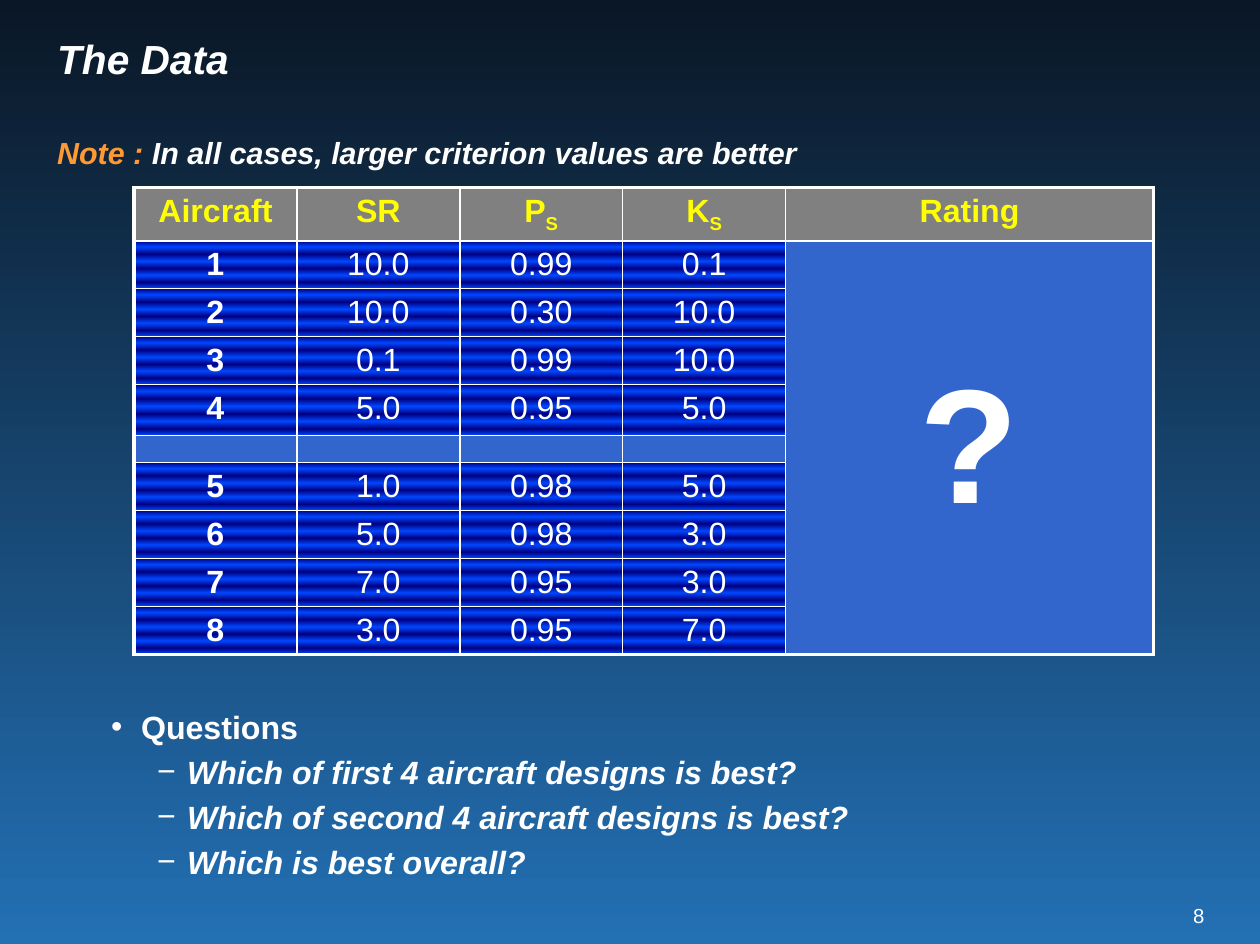
from lxml import etree
from pptx import Presentation
from pptx import util as u
from pptx.dml import color
from pptx.enum import text
from pptx.oxml import ns

WHITE, YELLOW, ORANGE = "FFFFFF", "FFFF00", "FF9933"
GRAY, BLUE = "808080", "3366CC"
SKY = [(0, "0A1726"), (100, "2370B4")]
STRIPES = [(at, ("000082", "0047FF")[i % 2])
           for i, at in enumerate((0, 13, 28, 43, 58, 72, 87, 100))]
HEADER = ["Aircraft", "SR", "P_S", "K_S", "Rating"]
DATA = [
    ["1", "10.0", "0.99", "0.1", "?"],
    ["2", "10.0", "0.30", "10.0", ""],
    ["3", "0.1", "0.99", "10.0", ""],
    ["4", "5.0", "0.95", "5.0", ""],
    ["", "", "", "", ""],
    ["5", "1.0", "0.98", "5.0", ""],
    ["6", "5.0", "0.98", "3.0", ""],
    ["7", "7.0", "0.95", "3.0", ""],
    ["8", "3.0", "0.95", "7.0", ""],
]
COLUMNS = [163] * 4 + [368]
ROWS = [53] + [48] * 3 + [51, 27] + [48] * 4
QUESTIONS = [
    (0, "Questions"),
    (1, "Which of first 4 aircraft designs is best?"),
    (1, "Which of second 4 aircraft designs is best?"),
    (1, "Which is best overall?"),
]


def px(length):
    """Turn pixels into EMU."""
    return u.Emu(length * 7501)


def rgb(value):
    """Turn a hex string into a colour."""
    return color.RGBColor.from_string(value)


def child(parent, tag, **attributes):
    """Add a DrawingML element to a parent."""
    return etree.SubElement(parent, ns.qn(f"a:{tag}"), attributes)


class Slide:
    """Holds the style and the current slide."""

    font = "Arial"

    def __init__(self, deck):
        """Add a page with a title and a body."""
        self.page = deck.slides.add_slide(deck.slide_layouts[1])
        self.gradient(self.page.background.fill, self.page.element, SKY)

    def gradient(self, fill, owner, stops):
        """Fill from top to bottom with the given stops."""
        fill.gradient()
        fill.gradient_angle = 270
        stop_list = owner.find(f".//{ns.qn('a:gsLst')}")
        stop_list.clear()
        for at, value in stops:
            stop = child(stop_list, "gs", pos=str(at * 1000))
            child(stop, "srgbClr", val=value)

    def style(self, span, size, value=WHITE, bold=False, italic=False):
        """Format one run."""
        span.font.name, span.font.size = self.font, u.Pt(size)
        span.font.bold, span.font.italic = bold, italic
        span.font.color.rgb = rgb(value)

    def place(self, box, left, top, width, height):
        """Move and size a box."""
        box.left, box.top = px(left), px(top)
        box.width, box.height = px(width), px(height)
        box.text_frame.auto_size = text.MSO_AUTO_SIZE.NONE

    def title(self, heading, label, note, *area):
        """Write the title with a note below it."""
        box = self.page.shapes.title
        self.place(box, *area)
        frame = box.text_frame
        frame.vertical_anchor = text.MSO_ANCHOR.MIDDLE
        frame.text = heading
        para = frame.add_paragraph()
        para.space_before = u.Pt(26)
        for words in (label, note):
            para.add_run().text = words
        for line in frame.paragraphs:
            line.alignment = text.PP_ALIGN.LEFT
            line.line_spacing = u.Pt(26)
        self.style(frame.paragraphs[0].runs[0], 24, bold=True, italic=True)
        for span, value in zip(para.runs, (ORANGE, WHITE)):
            self.style(span, 18, value, bold=True, italic=True)

    def bullets(self, items, *area):
        """Write a two-level list in the body."""
        box = self.page.placeholders[1]
        self.place(box, *area)
        frame = box.text_frame
        for i, (level, words) in enumerate(items):
            para = frame.add_paragraph() if i else frame.paragraphs[0]
            para.text, para.level = words, level
            para.space_before = u.Pt(3.8 if i else 0)
            layout = para._p.get_or_add_pPr()
            layout.set("marL", str(px((30, 76)[level])))
            layout.set("indent", str(px(-30)))
            child(layout, "buFont", typeface=self.font)
            child(layout, "buChar", char="•−"[level])
            self.style(para.runs[0], 19, bold=True, italic=level == 1)

    def cell(self, cell, words, fill, edges, size=19, value=WHITE, bold=False):
        """Write, border and fill one table cell."""
        cell.margin_top, cell.margin_bottom = px(6), px(2)
        para = cell.text_frame.paragraphs[0]
        para.alignment = text.PP_ALIGN.CENTER
        if words:
            base, _, index = words.partition("_")
            for part in filter(None, (base, index)):
                span = para.add_run()
                span.text = part
                self.style(span, size, value, bold)
            if index:
                span.font._element.set("baseline", "-25000")
        else:
            child(para._p, "endParaRPr", sz="800")
        properties = cell._tc.get_or_add_tcPr()
        for side, outer in zip("LRTB", edges):
            line = child(properties, f"ln{side}", w=str(u.Pt(2.25 if outer else 1)))
            child(child(line, "solidFill"), "srgbClr", val=WHITE)
        if isinstance(fill, str):
            cell.fill.solid()
            cell.fill.fore_color.rgb = rgb(fill)
        else:
            self.gradient(cell.fill, cell._tc, fill)

    def table(self, rows, columns, heights, left, top):
        """Draw the data table with one merged rating cell."""
        area = left, top, sum(columns), sum(heights)
        table = self.page.shapes.add_table(
            len(rows), len(columns), *map(px, area)).table
        for column, width in zip(table.columns, columns):
            column.width = px(width)
        for row, height in zip(table.rows, heights):
            row.height = px(height)
        last_row, last_column = len(rows) - 1, len(columns) - 1
        rating = table.cell(1, last_column)
        rating.merge(table.cell(last_row, last_column))
        rating.vertical_anchor = text.MSO_ANCHOR.MIDDLE
        for r, row in enumerate(rows):
            for c, words in enumerate(row):
                cell = table.cell(r, c)
                bottom = r + cell.span_height - 1 == last_row
                edges = c == 0, c == last_column, r == 0, bottom
                if r == 0:
                    self.cell(cell, words, GRAY, edges, value=YELLOW, bold=True)
                elif c == last_column:
                    self.cell(cell, words, BLUE, edges, size=96, bold=True)
                else:
                    fill = STRIPES if words else BLUE
                    self.cell(cell, words, fill, edges, bold=c == 0)
        rating.margin_bottom = rating.margin_top

    def number(self, words, *area):
        """Write the page number."""
        box = self.page.shapes.add_textbox(*map(px, area))
        frame = box.text_frame
        frame.margin_left = frame.margin_right = 0
        frame.margin_top = frame.margin_bottom = 0
        frame.word_wrap = False
        frame.text = words
        frame.paragraphs[0].alignment = text.PP_ALIGN.RIGHT
        self.style(frame.paragraphs[0].runs[0], 12)


def main():
    """Build and save the deck."""
    deck = Presentation()
    deck.slide_width, deck.slide_height = u.Inches(10.34), u.Inches(7.75)
    slide = Slide(deck)
    slide.title("The Data", "Note :",
                " In all cases, larger criterion values are better",
                45, 39, 1033, 132)
    slide.bullets(QUESTIONS, 99, 702, 915, 211)
    slide.table([HEADER] + DATA, COLUMNS, ROWS, 134, 188)
    slide.number("8", 1181, 904, 24, 24)
    deck.save("out.pptx")


if __name__ == "__main__":
    main()
